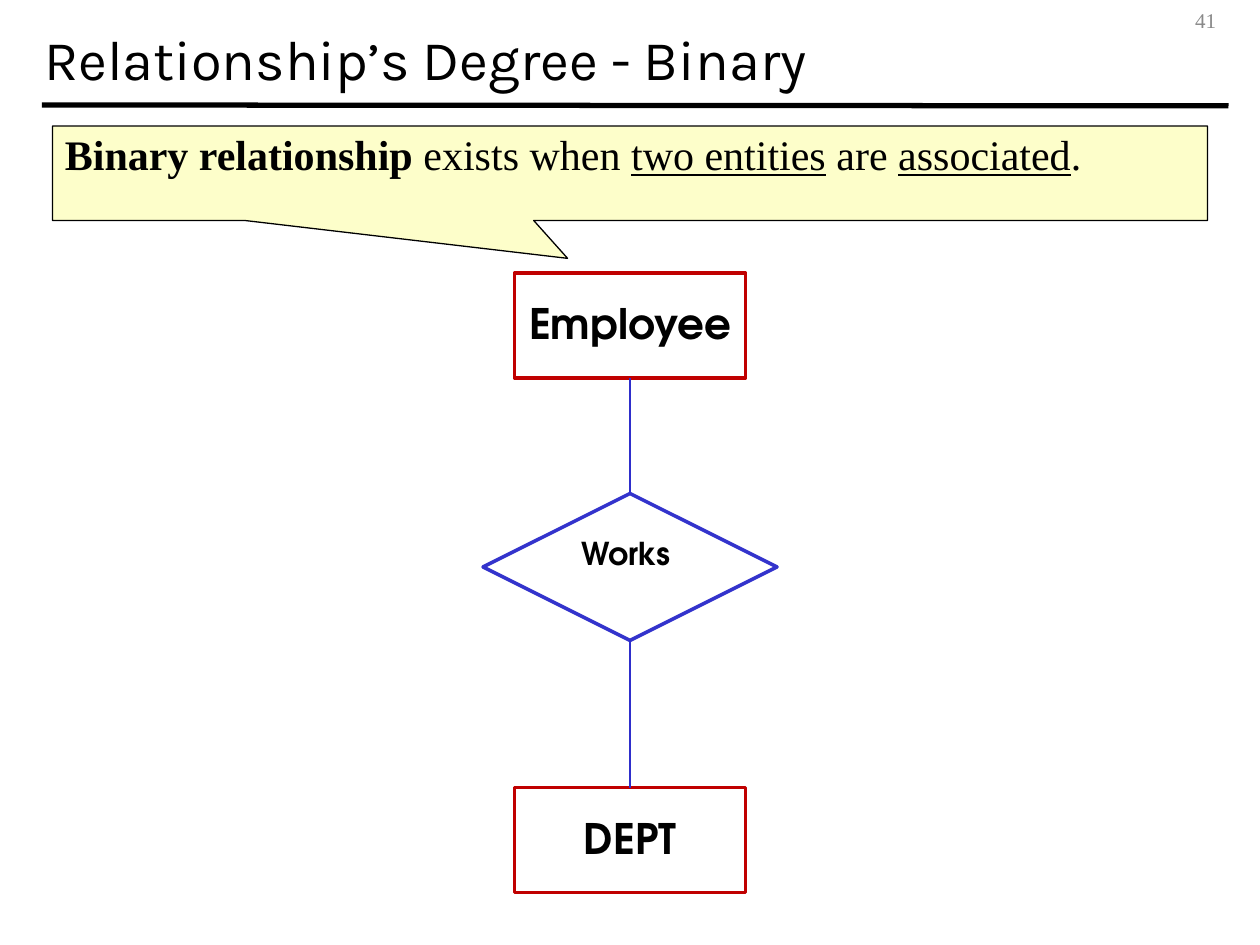
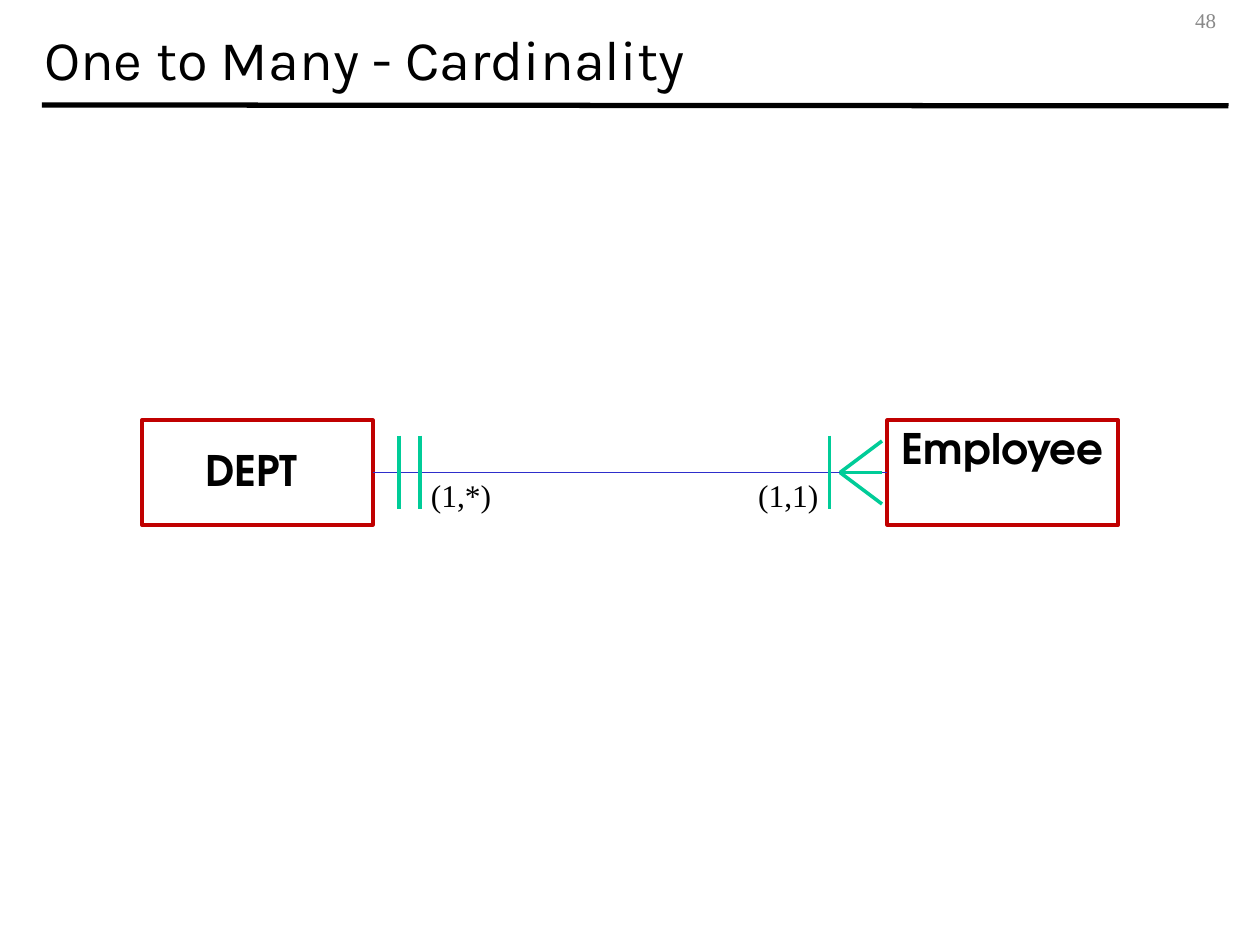
from pptx import Presentation
from pptx.dml.color import RGBColor
from pptx.enum.shapes import MSO_CONNECTOR, MSO_SHAPE as Shape
from pptx.enum.text import MSO_ANCHOR as Anchor, MSO_AUTO_SIZE as AutoSize, PP_ALIGN as Align
from pptx.oxml.ns import qn
from pptx.util import Pt

# Content
BINARY = {"title": "Relationship’s Degree - Binary", "page": "41"}
ONE_TO_MANY = {"title": "One to Many - Cardinality", "page": "48"}
DEFINITION = [("Binary relationship ", "b"), ("exists when ", ""), ("two entities", "u"),
              (" are ", ""), ("associated", "u"), (".", "")]
BINARY_ENTITIES = [("Employee", 156), ("DEPT", 450)]  # name, top
RELATIONSHIP = "Works "
# name, left, anchor
CARDINAL_ENTITIES = [("DEPT ", 81, Anchor.MIDDLE), ("Employee", 507, Anchor.TOP)]
CARDINALITIES = [("(1,*)", 239), ("(1,1)", 426)]  # text, left

# Shared style
BLACK = RGBColor(0x00, 0x00, 0x00)
WHITE = RGBColor(0xFF, 0xFF, 0xFF)
GREY = RGBColor(0x89, 0x89, 0x89)
CREAM = RGBColor(0xFD, 0xFE, 0xCA)
RED = RGBColor(0xC0, 0x00, 0x00)
BLUE = RGBColor(0x33, 0x33, 0xCC)
LINK_BLUE = RGBColor(0x2E, 0x2E, 0xCB)
GREEN = RGBColor(0x00, 0xCC, 0x98)
TITLE_FONT, BODY_FONT, ENTITY_FONT = "Karla", "Times New Roman", "TeX Gyre Adventor"
SLIDE_W, SLIDE_H = 720, 540
ENTITY_W, ENTITY_H = 132, 60


def write(sp, text, size=24, font=BODY_FONT, color=BLACK, bold=False, align=Align.LEFT,
          anchor=Anchor.TOP, spacing=0.95, wrap=True):
    """Fill a shape with one paragraph: a string, or (text, marks) runs."""
    tf = sp.text_frame
    tf.auto_size, tf.word_wrap, tf.vertical_anchor = AutoSize.NONE, wrap, anchor
    tf.margin_left = tf.margin_right = Pt(7.2)
    tf.margin_top = tf.margin_bottom = Pt(3.6)
    p = tf.paragraphs[0]
    p.alignment, p.line_spacing = align, spacing
    p.space_before = Pt(0)
    runs = [(text, "b" if bold else "")] if isinstance(text, str) else text
    for words, marks in runs:
        r = p.add_run()
        r.text = words
        r.font.name, r.font.size = font, Pt(size)
        r.font.color.rgb = color
        r.font.bold, r.font.underline = "b" in marks, "u" in marks


def add_box(s, kind, x, y, w, h, fill, line, weight):
    sp = s.shapes.add_shape(kind, Pt(x), Pt(y), Pt(w), Pt(h))
    sp.shadow.inherit = False
    sp.fill.solid()
    sp.fill.fore_color.rgb = fill
    sp.line.color.rgb = line
    sp.line.width = Pt(weight)
    return sp


def add_entity(s, name, x, y, anchor=Anchor.MIDDLE):
    sp = add_box(s, Shape.RECTANGLE, x, y, ENTITY_W, ENTITY_H, WHITE, RED, 2)
    write(sp, name, font=ENTITY_FONT, bold=True, align=Align.CENTER, anchor=anchor)


def add_line(s, x1, y1, x2, y2, color=LINK_BLUE, weight=0.75):
    line = s.shapes.add_connector(MSO_CONNECTOR.STRAIGHT, Pt(x1), Pt(y1), Pt(x2), Pt(y2))
    line.line.color.rgb = color
    line.line.width = Pt(weight)
    sp_pr = line._element.spPr
    sp_pr.append(sp_pr.makeelement(qn("a:effectLst"), {}))


def add_label(s, text, x, y, w, h, **style):
    write(s.shapes.add_textbox(Pt(x), Pt(y), Pt(w), Pt(h)), text, **style)


def add_slide(prs, title, page):
    """Title, rule and page number that every slide carries."""
    s = prs.slides.add_slide(prs.slide_layouts[5])
    add_line(s, 24, 60, 702, 60.5, BLACK, 3)
    sp = s.shapes.title
    sp.left, sp.top, sp.width, sp.height = Pt(18), Pt(0), Pt(684), Pt(65.5)
    write(sp, title, size=32, font=TITLE_FONT, anchor=Anchor.MIDDLE, spacing=1.01)
    add_label(s, page, 552, 0, 150, 24, size=12, color=GREY, align=Align.RIGHT,
              anchor=Anchor.MIDDLE)
    return s


def build_binary(prs):
    s = add_slide(prs, **BINARY)
    center = SLIDE_W / 2

    # Definition callout
    callout = add_box(s, Shape.RECTANGULAR_CALLOUT, 30, 72, 660, 54, CREAM, BLACK, 0.75)
    callout.adjustments[0], callout.adjustments[1] = -0.054, 0.901
    write(callout, DEFINITION)

    # Entities above and below the relationship
    for name, top in BINARY_ENTITIES:
        add_entity(s, name, center - ENTITY_W / 2, top)
    w, h, top = 168, 84, 282
    diamond = add_box(s, Shape.DIAMOND, center - w / 2, top, w, h, WHITE, BLUE, 2)
    write(diamond, RELATIONSHIP, size=18, font=ENTITY_FONT, bold=True, align=Align.CENTER)

    # Links
    (_, upper), (_, lower) = BINARY_ENTITIES
    add_line(s, center, upper + ENTITY_H, center, top)
    add_line(s, center, top + h, center, lower)


def build_one_to_many(prs):
    s = add_slide(prs, **ONE_TO_MANY)
    middle = SLIDE_H / 2

    # Entities and the link between them
    for name, left, anchor in CARDINAL_ENTITIES:
        add_entity(s, name, left, middle - ENTITY_H / 2, anchor)
    add_line(s, CARDINAL_ENTITIES[0][1] + ENTITY_W, middle, CARDINAL_ENTITIES[1][1], middle)

    # Cardinality bars and crow's foot
    for x in (228, 240, 474):
        add_line(s, x, middle - 21, x, middle + 21, GREEN, 2)
    for rise in (-18, 0, 18):
        add_line(s, 480, middle, 504, middle + rise, GREEN, 2)
    for text, left in CARDINALITIES:
        add_label(s, text, left, middle, 49, 28, size=18, align=Align.CENTER, wrap=False)


def main():
    prs = Presentation()
    prs.slide_width, prs.slide_height = Pt(SLIDE_W), Pt(SLIDE_H)
    build_binary(prs)
    build_one_to_many(prs)
    prs.save("out.pptx")


if __name__ == "__main__":
    main()
